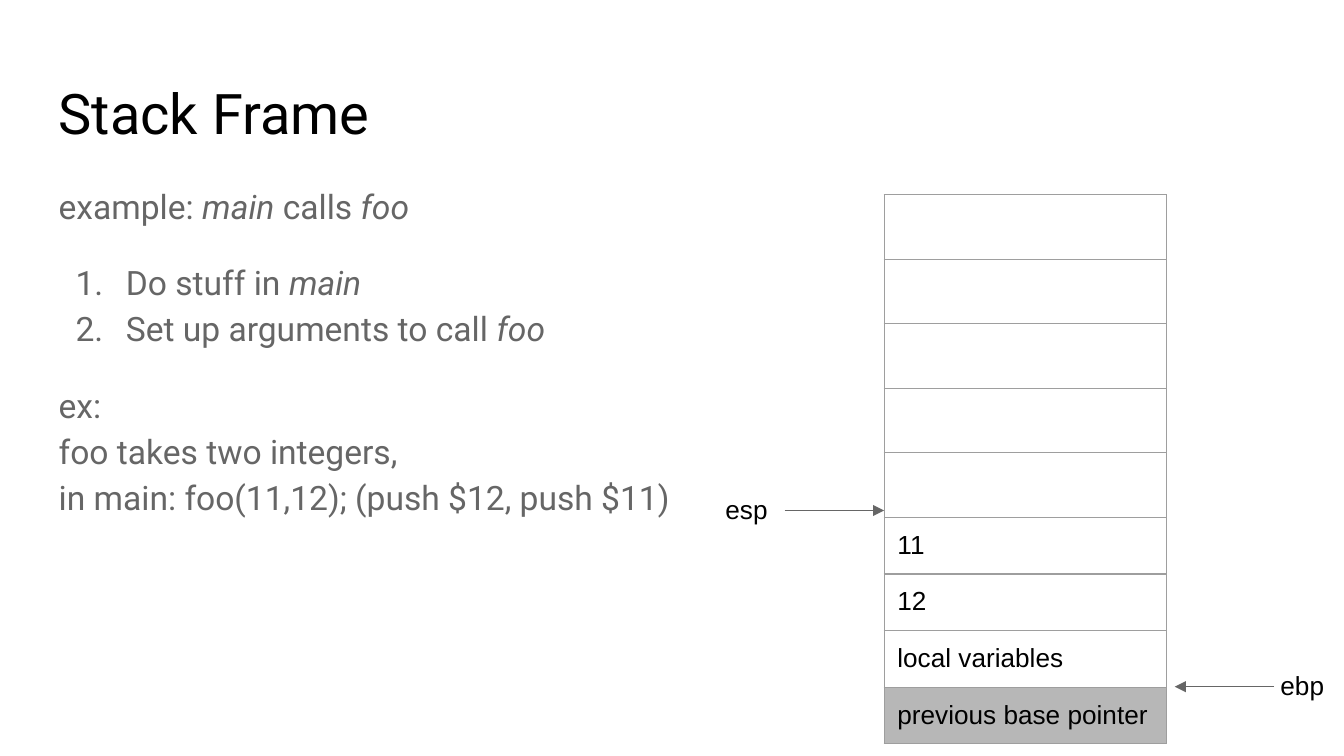
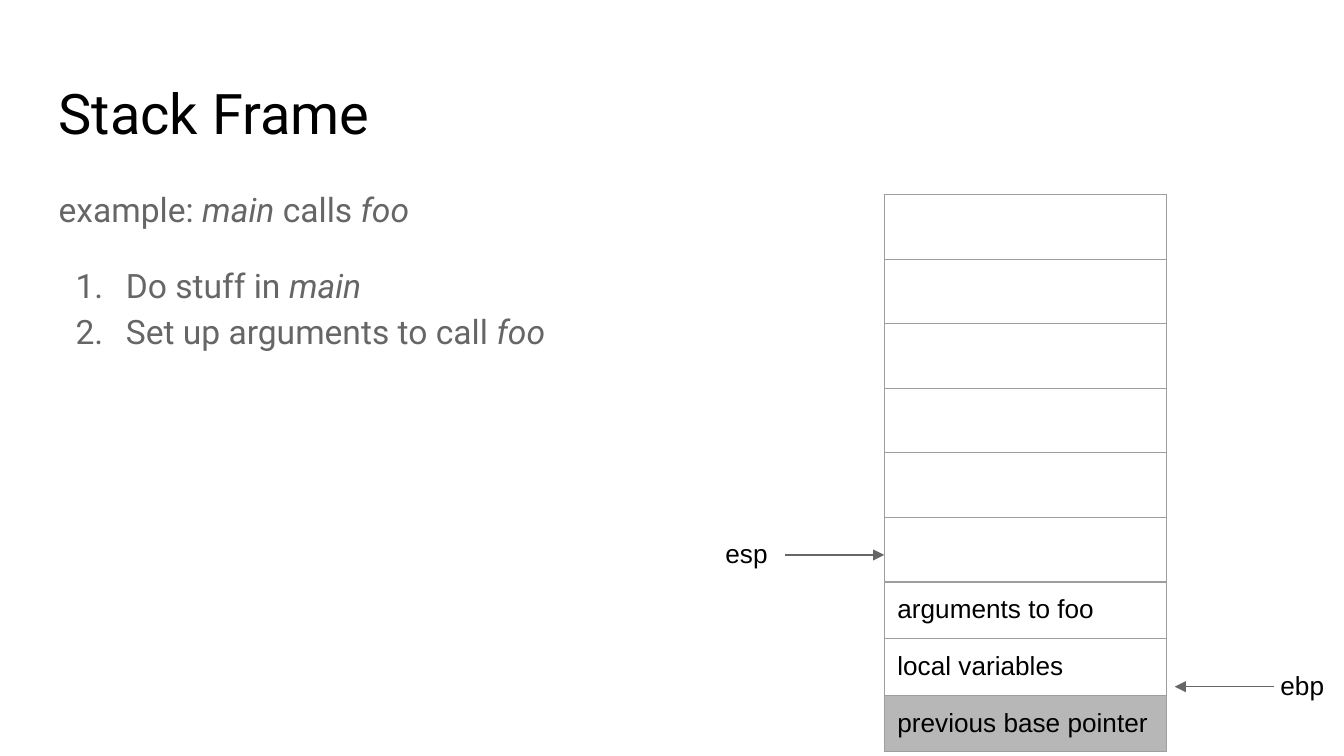
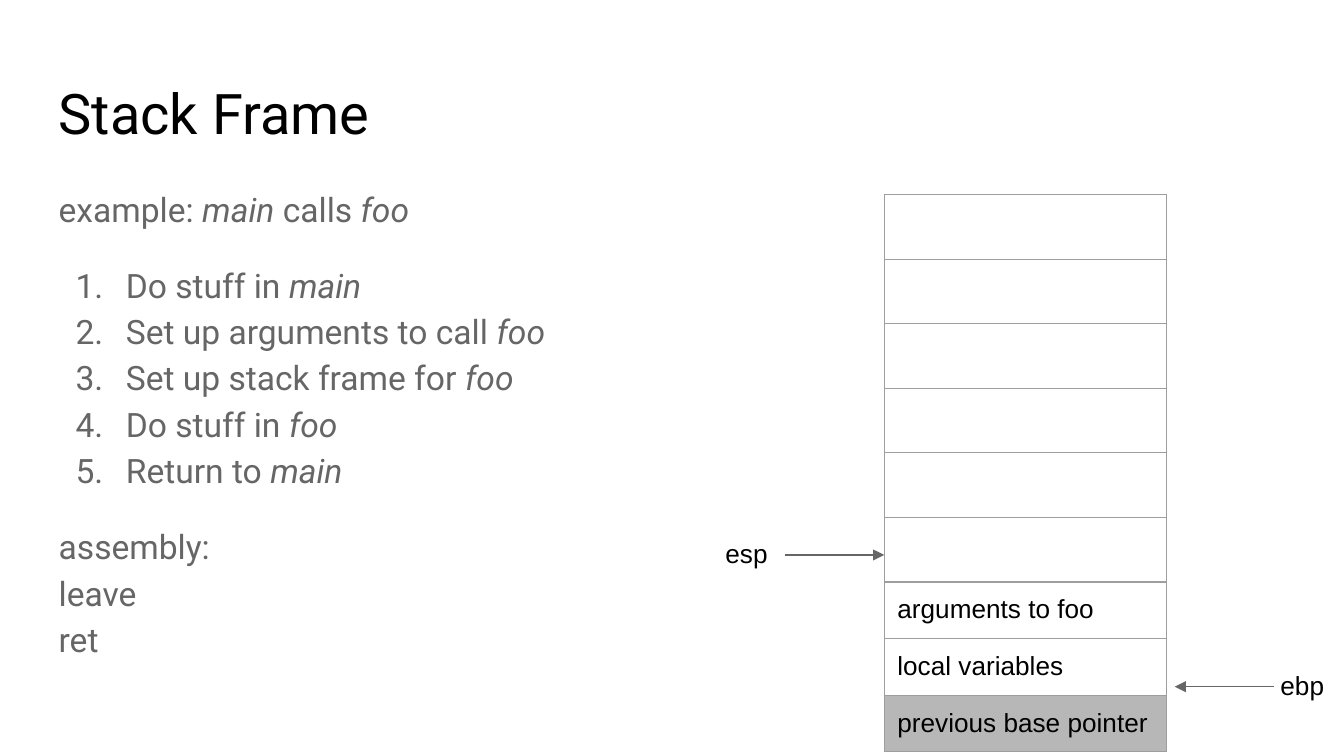
from lxml.etree import SubElement
from pptx import Presentation
from pptx.dml.color import RGBColor
from pptx.enum.shapes import MSO_CONNECTOR
from pptx.enum.text import MSO_ANCHOR, MSO_AUTO_SIZE, PP_ALIGN
from pptx.oxml import parse_xml
from pptx.oxml.ns import nsdecls, qn
from pptx.util import Cm, Pt

# Shared look
BLACK, GREY, EDGE = "000000", "666666", "9E9E9E"
WHITE, SHADE = "FFFFFF", "B7B7B7"
HEAD, PLAIN = "Roboto", "Arial"
PAD = Cm(0.25)

# Text of each slide; words between asterisks are italic
INTRO = "example: *main* calls *foo*"
STEPS = [
    "Do stuff in *main*",
    "Set up arguments to call *foo*",
    "Set up stack frame for *foo*",
    "Do stuff in *foo*",
    "Return to *main*",
]
CALL = "ex:\nfoo takes two integers,\nin main: foo(11,12); (push $12, push $11)"
EXIT = "assembly:\nleave\nret"
BASE = ["local variables", "previous base pointer"]
PUSHED = [""] * 5 + ["11", "12"] + BASE
READY = [""] * 6 + ["arguments to foo"] + BASE

# Body top, number of steps, closing text, stack rows, height of esp
SLIDES = [
    (3.15, 2, CALL, PUSHED, 9.65),
    (3.2, 2, "", READY, 10.49),
    (3.2, 5, EXIT, READY, 10.49),
]


def ink(color, code):
    color.rgb = RGBColor.from_string(code)


def write(par, text, font, size, code):
    for i, part in enumerate(text.split("*")):
        for j, line in enumerate(part.split("\n")):
            if j:
                par.add_line_break()
            if line:
                run = par.add_run()
                run.text = line
                run.font.name = font
                run.font.size = Pt(size)
                run.font.italic = i % 2 == 1
                ink(run.font.color, code)


deck = Presentation()
deck.slide_width, deck.slide_height = Cm(25.4), Cm(14.29)

for top, count, close, rows, level in SLIDES:
    slide = deck.slides.add_slide(deck.slide_layouts[5])
    shapes = slide.shapes

    # Title and body frames
    title = shapes.title
    title.left, title.top = Cm(0.86), Cm(1.24)
    title.width, title.height = Cm(23.67), Cm(1.6)
    body = shapes.add_textbox(Cm(0.86), Cm(top), Cm(23.67), Cm(9.5))
    frames = [title.text_frame, body.text_frame]

    # Stack
    grid = shapes.add_table(len(rows), 1, Cm(16.71), Cm(3.68), Cm(5.33), Cm(9.5)).table
    grid.first_row = grid.horz_banding = False
    for row, text in zip(grid.rows, rows):
        row.height = Cm(1.07 if text else 1.22)
        cell = row.cells[0]
        props = cell._tc.get_or_add_tcPr()
        for side in "LRTB":
            props.append(parse_xml(
                f'<a:ln{side} {nsdecls("a")} w="9525"><a:solidFill>'
                f'<a:srgbClr val="{EDGE}"/></a:solidFill></a:ln{side}>'))
        cell.fill.solid()
        ink(cell.fill.fore_color, SHADE if text == BASE[-1] else WHITE)
        if text:
            cell.margin_left = cell.margin_right = PAD
            cell.margin_top = cell.margin_bottom = PAD
            write(cell.text_frame.paragraphs[0], text, PLAIN, 14, BLACK)

    # Pointers: label, label left, arrow start, arrow end, height
    for name, left, start, end, y in [
        ("ebp", 23.95, 24.08, 22.2, 12.98),
        ("esp", 13.46, 14.83, 16.71, level),
    ]:
        arrow = shapes.add_connector(
            MSO_CONNECTOR.STRAIGHT, Cm(start), Cm(y), Cm(end), Cm(y))
        arrow.line.width = Pt(0.75)
        ink(arrow.line.color, GREY)
        SubElement(arrow.line._get_or_add_ln(), qn("a:tailEnd"), type="triangle")
        SubElement(arrow._element.spPr, qn("a:effectLst"))
        label = shapes.add_textbox(Cm(left), Cm(y - 0.58), Cm(2.87), Cm(1.17))
        frames.append(label.text_frame)
        write(label.text_frame.paragraphs[0], name, PLAIN, 14, BLACK)

    # Frame settings
    for frame in frames:
        frame.word_wrap = True
        frame.auto_size = MSO_AUTO_SIZE.NONE
        frame.vertical_anchor = MSO_ANCHOR.TOP
        frame.margin_left = frame.margin_right = PAD
        frame.margin_top = frame.margin_bottom = PAD

    # Title text
    par = title.text_frame.paragraphs[0]
    par.alignment = PP_ALIGN.LEFT
    write(par, "Stack Frame", HEAD, 30, BLACK)

    # Body text, with the steps numbered
    lines = [INTRO] + STEPS[:count] + ([close] if close else [])
    for i, text in enumerate(lines):
        par = body.text_frame.add_paragraph() if i else body.text_frame.paragraphs[0]
        par.line_spacing = 1.15
        par.space_before = Pt(16 if i in (1, count + 1) else 0)
        if text in STEPS:
            props = par._p.get_or_add_pPr()
            props.set("marL", str(Cm(1.27)))
            props.set("indent", str(Cm(-0.95)))
            tint = SubElement(props, qn("a:buClr"))
            SubElement(tint, qn("a:srgbClr"), val=GREY)
            SubElement(props, qn("a:buFont"), typeface=HEAD)
            SubElement(props, qn("a:buAutoNum"), type="arabicPeriod")
        write(par, text, HEAD, 18, GREY)

deck.save("out.pptx")
